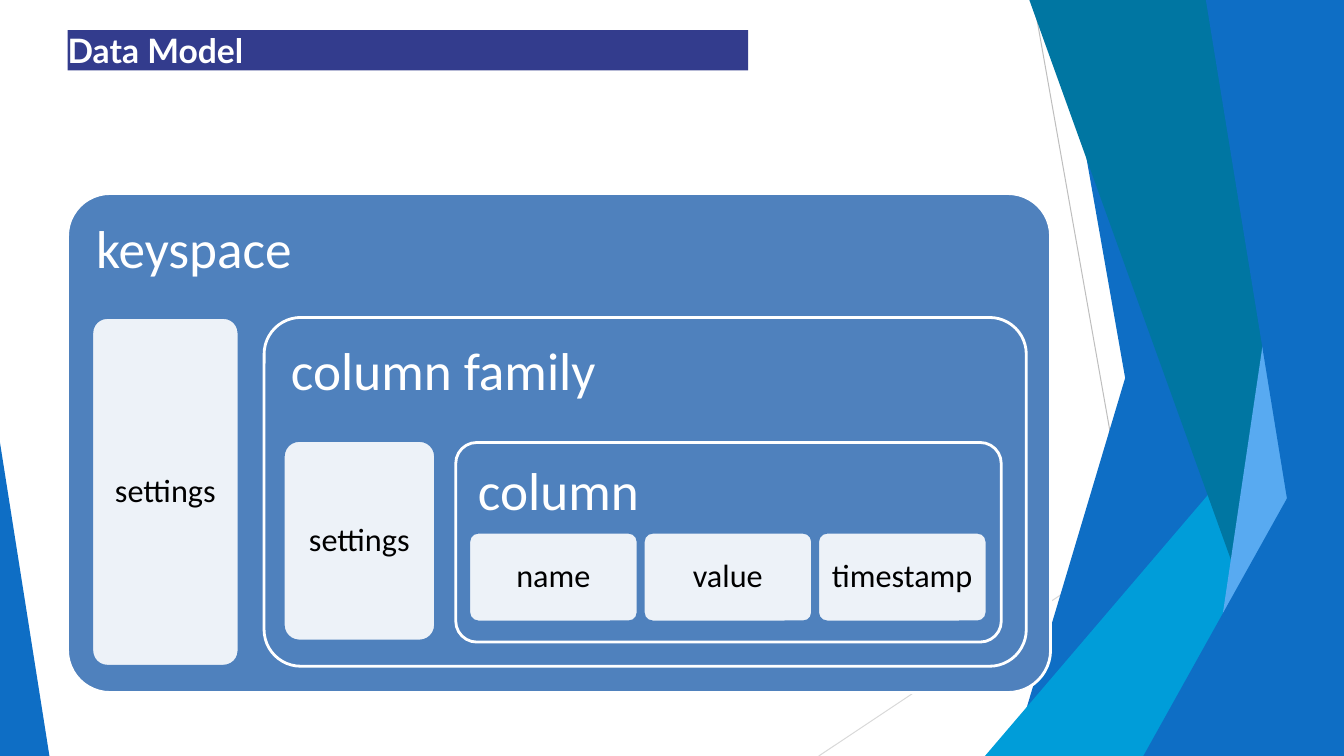
from lxml import etree
from pptx import Presentation
from pptx.dml.color import RGBColor
from pptx.enum.shapes import MSO_CONNECTOR, MSO_SHAPE
from pptx.enum.text import MSO_ANCHOR as Anchor, MSO_AUTO_SIZE, PP_ALIGN as Align
from pptx.oxml.ns import qn
from pptx.util import Inches, Pt

WHITE = RGBColor(0xFF, 0xFF, 0xFF)
BLACK = RGBColor(0x00, 0x00, 0x00)
NAVY = RGBColor(0x33, 0x3C, 0x8D)
STEEL = RGBColor(0x4F, 0x81, 0xBD)
BLUE = RGBColor(0x0E, 0x6E, 0xC5)
CYAN = RGBColor(0x00, 0x9D, 0xD9)
TEAL = RGBColor(0x00, 0x76, 0xA2)
SKY = RGBColor(0x58, 0xAA, 0xF1)
GREY = RGBColor(0xBE, 0xBE, 0xBE)
PALE_GREY = RGBColor(0xD9, 0xD9, 0xD9)

# All positions are percentages of the slide's width and height.
TITLE = ("Data Model", (5.03, 4, 50.64, 5.33))
RAYS = [
    (GREY, (76.9, 0), (86.87, 100)),
    (PALE_GREY, (100, 53.73), (60.92, 100)),
]
FACETS = [
    (BLUE, [(100, 0), (92.12, 0), (75.32, 100), (100, 100)]),
    (BLUE, [(100, 0), (78.77, 0), (88.67, 100), (100, 100)]),
    (CYAN, [(100, 44.4), (73.29, 100), (100, 100)]),
    (TEAL, [(100, 0), (76.59, 0), (96.85, 100), (100, 100)]),
    (SKY, [(100, 0), (97.75, 0), (89.42, 100), (100, 100)]),
    (BLUE, [(100, 0), (89.72, 0), (98.87, 100), (100, 100)]),
    (BLUE, [(100, 52.4), (85.07, 100), (100, 100)]),
    (BLUE, [(0, 58.53), (0, 100), (3.68, 100)]),
]
CONTAINERS = [
    ("keyspace", (5.03, 25.6, 73.14, 66), 0.085),
    ("column family", (19.65, 42, 56.71, 46.13), 0.105),
    ("column", (33.91, 58.53, 40.59, 26.4), 0.105),
]
SETTINGS = [
    ("settings", (6.83, 42, 10.95, 46.13)),
    ("settings", (21.08, 58.27, 11.33, 26.53)),
]
FIELDS = ["name", "value", "timestamp"]
FIELD_LEFT, FIELD_TOP, FIELD_WIDTH, FIELD_HEIGHT = 34.88, 70.4, 12.6, 11.87
FIELD_PITCH = 12.98

deck = Presentation()
deck.slide_width, deck.slide_height = Inches(13.33), Inches(7.5)
page = deck.slides.add_slide(deck.slide_layouts[5])


def place(x, y):
    return round(deck.slide_width * x / 100), round(deck.slide_height * y / 100)


def write(shape, text, size, font="Calibri", color=WHITE, bold=False,
          align=Align.LEFT, anchor=Anchor.TOP, inset=0.0, spacing=None, after=0):
    frame = shape.text_frame
    frame.word_wrap = True
    frame.auto_size = MSO_AUTO_SIZE.NONE
    frame.vertical_anchor = anchor
    frame.margin_left = frame.margin_right = Inches(inset)
    frame.margin_top = frame.margin_bottom = Inches(inset)
    para = frame.paragraphs[0]
    para.alignment = align
    para.line_spacing = spacing
    para.space_before, para.space_after = Pt(0), Pt(after)
    span = para.add_run()
    span.text = text
    span.font.name, span.font.size = font, Pt(size)
    span.font.bold, span.font.color.rgb = bold, color


def add_ray(color, start, end):
    ray = page.shapes.add_connector(MSO_CONNECTOR.STRAIGHT, *place(*start), *place(*end))
    ray.line.color.rgb, ray.line.width = color, Pt(0.71)
    etree.SubElement(ray._element.spPr, qn("a:effectLst"))


def add_facet(color, corners):
    points = [place(*corner) for corner in corners]
    builder = page.shapes.build_freeform(*points[0], scale=1.0)
    builder.add_line_segments(points[1:], close=True)
    facet = builder.convert_to_shape()
    facet.shadow.inherit = False
    facet.fill.solid()
    facet.fill.fore_color.rgb = color
    facet.line.fill.background()


def add_box(area, fill, outline, corner):
    box = page.shapes.add_shape(MSO_SHAPE.ROUNDED_RECTANGLE, *place(*area[:2]), *place(*area[2:]))
    box.adjustments[0] = corner
    box.shadow.inherit = False
    box.fill.solid()
    box.fill.fore_color.rgb = fill
    box.line.color.rgb, box.line.width = outline, Pt(2)
    return box


def add_container(text, area, corner):
    box = add_box(area, STEEL, WHITE, corner)
    write(box, text, 38, inset=0.16, spacing=0.9, after=13.3)


def add_card(text, area):
    card = add_box(area, WHITE, STEEL, 0.105)
    color = card._element.spPr.find(qn("a:solidFill"))[0]
    etree.SubElement(color, qn("a:alpha"), val="90000")
    write(card, text, 23, color=BLACK, align=Align.CENTER, anchor=Anchor.MIDDLE,
          inset=0.1, spacing=0.9, after=8.1)


def main():
    for ray in RAYS:
        add_ray(*ray)
    for facet in FACETS:
        add_facet(*facet)

    text, area = TITLE
    title = page.shapes.title
    title.left, title.top = place(*area[:2])
    title.width, title.height = place(*area[2:])
    title.fill.solid()
    title.fill.fore_color.rgb = NAVY
    write(title, text, 24, font="Lato", bold=True)

    for container in CONTAINERS:
        add_container(*container)
    for card in SETTINGS:
        add_card(*card)
    for column, field in enumerate(FIELDS):
        left = FIELD_LEFT + column * FIELD_PITCH
        add_card(field, (left, FIELD_TOP, FIELD_WIDTH, FIELD_HEIGHT))

    deck.save("out.pptx")


if __name__ == "__main__":
    main()
